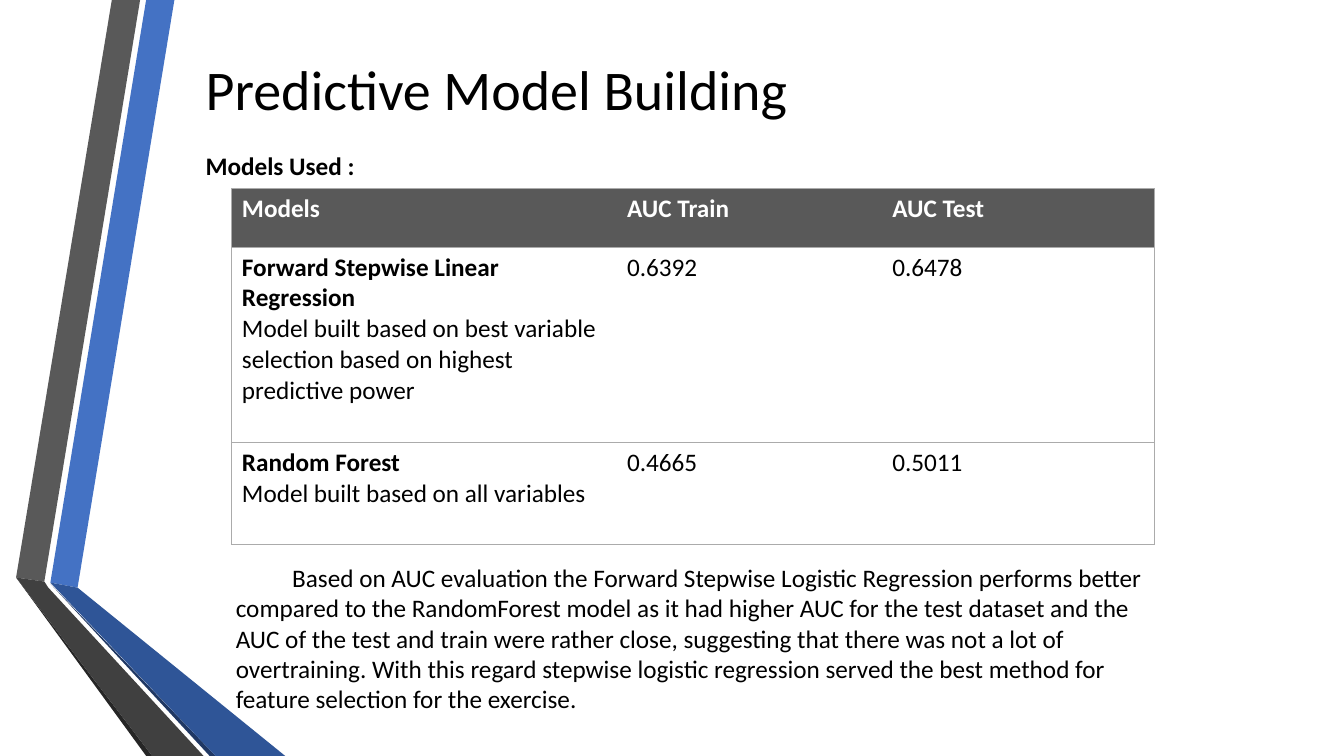
from lxml import etree
from pptx import Presentation
from pptx.dml.color import RGBColor
from pptx.enum.text import MSO_ANCHOR as Anchor, MSO_AUTO_SIZE as AutoSize, PP_ALIGN as Align
from pptx.oxml.ns import qn
from pptx.util import Inches, Pt

BODY = dict(name="Calibri", size=Pt(18), bold=False)
STRONG = BODY | dict(bold=True)
HEADING = BODY | dict(size=Pt(40))
PLAIN_TABLE_STYLE = "{2D5ABB26-0587-4C30-8999-92F81FD0307C}"

RIBBONS = [
    ("4472C4", [(0.5, 5.78), (0.77, 5.83), (1.73, 0), (1.45, 0)]),
    ("595959", [(1.39, 0), (1.11, 0), (0.16, 5.73), (0.44, 5.77)]),
    ("262626", [(0.16, 5.73), (1.45, 7.5), (1.51, 7.5)]),
    ("203864", [(0.5, 5.79), (2.08, 7.5), (2.14, 7.5)]),
    ("2F5597", [(0.5, 5.78), (2.14, 7.5), (2.83, 7.5), (0.77, 5.83)]),
    ("404040", [(2.02, 7.5), (0.48, 5.83), (0.44, 5.77), (0.16, 5.73), (1.51, 7.5)]),
]

MODEL_ROWS = [
    (["Models"], ["AUC Train"], ["AUC Test"]),
    (["Forward Stepwise Linear Regression",
      "Model built based on best variable selection based on highest predictive power"],
     ["0.6392"], ["0.6478"]),
    (["Random Forest", "Model built based on all variables"], ["0.4665"], ["0.5011"]),
]

CONCLUSION = (
    "Based on AUC evaluation the Forward Stepwise Logistic Regression performs better "
    "compared to the RandomForest model as it had higher AUC for the test dataset and the "
    "AUC of the test and train were rather close, suggesting that there was not a lot of "
    "overtraining. With this regard stepwise logistic regression served the best method for "
    "feature selection for the exercise."
)


def color(value):
    return RGBColor.from_string(value)


def write(para, text, style, ink="000000"):
    span = para.add_run()
    span.text = text
    for key, value in style.items():
        setattr(span.font, key, value)
    span.font.color.rgb = color(ink)


def add_ribbons(page, left, top):
    for fill, points in RIBBONS:
        corners = [(Inches(left + x), Inches(top + y)) for x, y in points]
        builder = page.shapes.build_freeform(*corners[0], scale=1.0)
        builder.add_line_segments(corners[1:], close=True)
        ribbon = builder.convert_to_shape()
        ribbon.shadow.inherit = False
        ribbon.fill.solid()
        ribbon.fill.fore_color.rgb = color(fill)
        ribbon.line.fill.background()


def place_title(page, left, top, width, height, text):
    title = page.shapes.title
    bounds = dict(left=left, top=top, width=width, height=height)
    for key, value in bounds.items():
        setattr(title, key, Inches(value))
    frame = title.text_frame
    frame.auto_size = AutoSize.NONE
    frame.vertical_anchor = Anchor.MIDDLE
    para = frame.paragraphs[0]
    para.alignment = Align.LEFT
    write(para, text, HEADING)


def add_text(page, left, top, width, height, text, style, wrap=True, indent=0):
    box = page.shapes.add_textbox(*map(Inches, (left, top, width, height)))
    box.text_frame.word_wrap = wrap
    para = box.text_frame.paragraphs[0]
    write(para, text, style)
    if indent:
        para._p.get_or_add_pPr().set("indent", str(Inches(indent)))


def add_borders(cell, sides):
    properties = cell._tc.get_or_add_tcPr()
    for position, side in enumerate(sides):
        line = etree.Element(qn(f"a:ln{side}"), w=str(Pt(0.75)))
        fill = etree.SubElement(line, qn("a:solidFill"))
        etree.SubElement(fill, qn("a:srgbClr"), val="ABABAB")
        properties.insert(position, line)


def add_models_table(page, left, top, column_widths, row_heights):
    size = sum(column_widths), sum(row_heights)
    frame = page.shapes.add_table(
        len(row_heights), len(column_widths), *map(Inches, (left, top, *size)))
    table = frame.table
    table.horz_banding = False
    table._tbl.tblPr.find(qn("a:tableStyleId")).text = PLAIN_TABLE_STYLE
    for column, width in zip(table.columns, column_widths):
        column.width = Inches(width)
    for row, height in zip(table.rows, row_heights):
        row.height = Inches(height)
    last = len(column_widths) - 1
    for r, texts in enumerate(MODEL_ROWS):
        for c, lines in enumerate(texts):
            cell = table.cell(r, c)
            if r == 0:
                cell.fill.solid()
                cell.fill.fore_color.rgb = color("595959")
            else:
                cell.fill.background()
            add_borders(cell, "L" * (c == 0) + "R" * (c == last) + "TB")
            for number, line in enumerate(lines):
                paras = cell.text_frame
                para = paras.add_paragraph() if number else paras.paragraphs[0]
                strong = r == 0 or (c == 0 and number == 0)
                write(para, line, STRONG if strong else BODY, "000000" if r else "FFFFFF")


def build_models_page(deck):
    page = deck.slides.add_slide(deck.slide_layouts[5])
    add_ribbons(page, 0, 0)
    place_title(page, 1.94, 0.46, 9.89, 0.83, "Predictive Model Building")
    add_models_table(page, 2.3, 1.87, [3.82, 2.63, 2.7], [0.58, 1.94, 1.01])
    add_text(page, 1.94, 1.44, 1.72, 0.4, "Models Used :", STRONG, wrap=False)
    add_text(page, 2.24, 5.53, 9.51, 1.62, CONCLUSION, BODY, indent=0.56)


def main():
    deck = Presentation()
    deck.slide_width, deck.slide_height = Inches(13.33), Inches(7.5)
    build_models_page(deck)
    deck.save("out.pptx")


if __name__ == "__main__":
    main()
